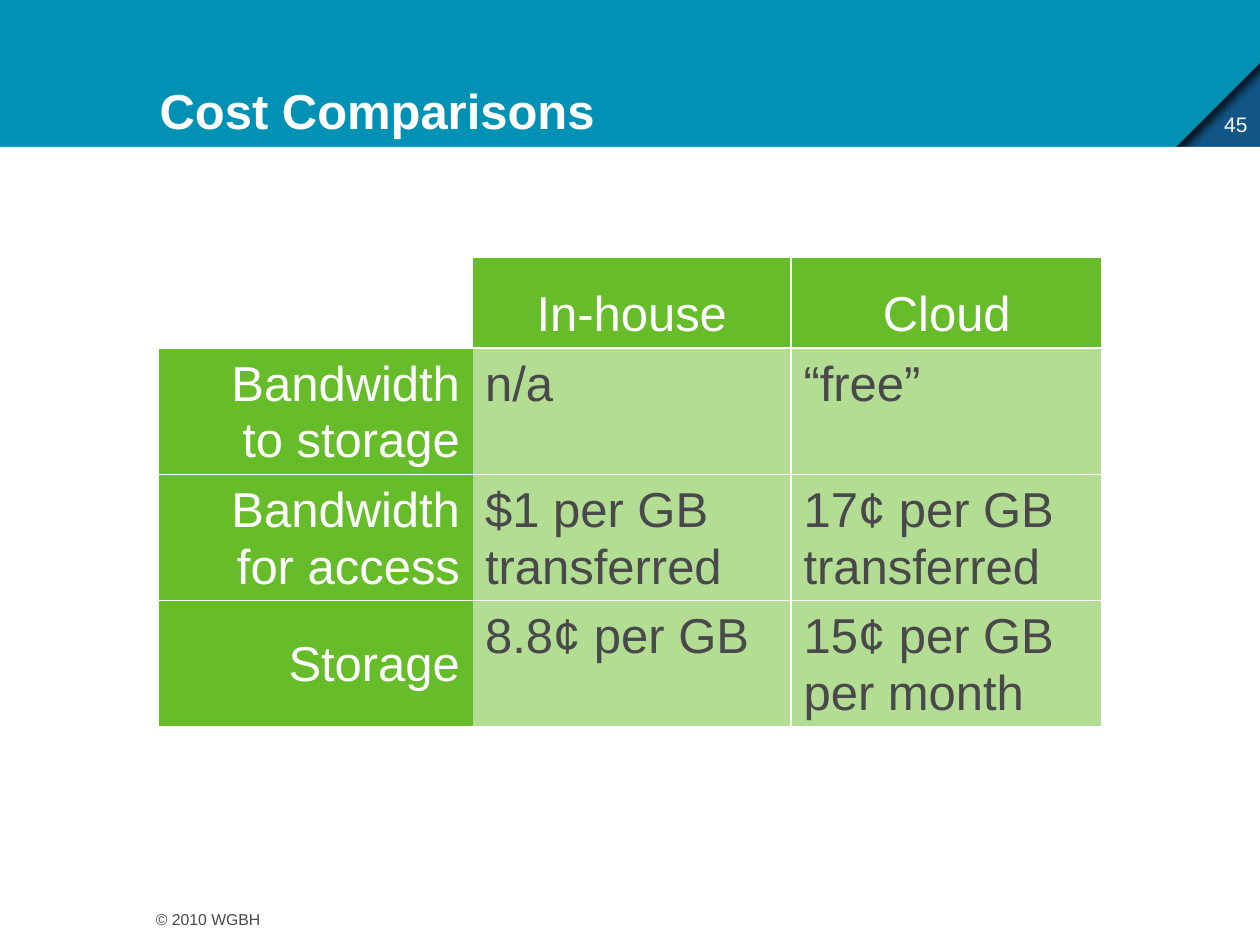
from dataclasses import dataclass

from lxml import etree
from pptx import Presentation, util as u
from pptx.dml.color import RGBColor
from pptx.enum import shapes, text
from pptx.oxml import ns

Pt = u.Pt
WHITE = RGBColor(0xFF, 0xFF, 0xFF)
TEAL = RGBColor(0x00, 0x91, 0xB5)
NAVY = RGBColor(0x12, 0x56, 0x87)
GREEN = RGBColor(0x66, 0xBC, 0x29)
GRAY = RGBColor(0x49, 0x48, 0x4A)
LEFT, CENTER, RIGHT = text.PP_ALIGN.LEFT, text.PP_ALIGN.CENTER, text.PP_ALIGN.RIGHT
TOP, MIDDLE, BOTTOM = (text.MSO_ANCHOR.TOP, text.MSO_ANCHOR.MIDDLE,
                       text.MSO_ANCHOR.BOTTOM)

WIDTH, HEIGHT = 720, 540
BAND_HEIGHT = 84
FOLD = 48


@dataclass
class CellStyle:
    color: RGBColor
    align: text.PP_ALIGN
    anchor: text.MSO_ANCHOR
    alpha: int = 100


COLUMN_HEAD = CellStyle(WHITE, CENTER, BOTTOM)
ROW_HEAD = CellStyle(WHITE, RIGHT, MIDDLE)
BODY = CellStyle(GRAY, LEFT, TOP, alpha=50)

COLUMN_WIDTHS = [180, 182, 178]
ROW_HEIGHTS = [52.5, 72, 72, 72, 53.5]
ROWS = [
    ["", "In-house", "Cloud"],
    ["Bandwidth\nto storage", "n/a", "“free”"],
    ["Bandwidth for access", "$1 per GB transferred", "17¢ per GB\ntransferred"],
    ["Storage", "8.8¢ per GB", "15¢ per GB\nper month"],
    ["", "", ""],
]


def add_xml(parent, tag: str, **attributes):
    return etree.SubElement(parent, ns.qn(tag),
                            {key: str(value) for key, value in attributes.items()})


def write_text(frame, content: str, *, size: float, color: RGBColor, align=LEFT,
               spacing: float = 1.0, bold: bool = False) -> None:
    for index, line in enumerate(content.split("\n")):
        paragraph = frame.add_paragraph() if index else frame.paragraphs[0]
        paragraph.alignment = align
        paragraph.line_spacing = spacing
        run = paragraph.add_run()
        run.text = line
        run.font.name = "Arial"
        run.font.size = Pt(size)
        run.font.bold = bold
        run.font.color.rgb = color


def place(shape, left: float, top: float, width: float, height: float) -> None:
    shape.left, shape.top = Pt(left), Pt(top)
    shape.width, shape.height = Pt(width), Pt(height)


def set_frame(frame, anchor) -> None:
    frame.word_wrap = True
    frame.auto_size = text.MSO_AUTO_SIZE.NONE
    frame.vertical_anchor = anchor


def paint(shape, color: RGBColor) -> None:
    shape.shadow.inherit = False
    shape.fill.solid()
    shape.fill.fore_color.rgb = color
    shape.line.fill.background()


def add_label(slide, content: str, box: tuple, **text_format) -> None:
    label = slide.shapes.add_textbox(*map(Pt, box))
    set_frame(label.text_frame, BOTTOM)
    write_text(label.text_frame, content, spacing=0.8, **text_format)


def add_background(slide) -> None:
    # Folded corner
    corner = slide.shapes.add_shape(
        shapes.MSO_SHAPE.RIGHT_TRIANGLE, Pt(WIDTH - FOLD), Pt(BAND_HEIGHT - FOLD),
        Pt(FOLD), Pt(FOLD))
    corner.rotation = 270
    paint(corner, NAVY)

    # Title band with a cut corner and a shadow over the fold
    builder = slide.shapes.build_freeform(0, 0, scale=Pt(1))
    builder.add_line_segments([(WIDTH, 0), (WIDTH, BAND_HEIGHT - FOLD),
                               (WIDTH - FOLD, BAND_HEIGHT), (0, BAND_HEIGHT)])
    band = builder.convert_to_shape()
    paint(band, TEAL)
    effects = band.element.spPr.find(ns.qn("a:effectLst"))
    shadow = add_xml(effects, "a:outerShdw", blurRad=Pt(5), dist=Pt(3),
                     dir=45 * 60000, algn="tl", rotWithShape=0)
    shadow_color = add_xml(shadow, "a:srgbClr", val="000000")
    add_xml(shadow_color, "a:alpha", val=75000)

    # Content area
    area = slide.shapes.add_shape(shapes.MSO_SHAPE.RECTANGLE, 0, Pt(BAND_HEIGHT),
                                  Pt(WIDTH), Pt(HEIGHT - BAND_HEIGHT))
    paint(area, WHITE)


def set_borders(cell, widths: dict) -> None:
    properties = cell._tc.get_or_add_tcPr()
    for index, (side, width) in enumerate(widths.items()):
        line = etree.Element(ns.qn(f"a:ln{side}"), w=str(Pt(width)))
        if width:
            fill = add_xml(line, "a:solidFill")
            add_xml(fill, "a:srgbClr", val=str(WHITE))
        else:
            add_xml(line, "a:noFill")
        properties.insert(index, line)


def cell_style(row: int, column: int) -> CellStyle:
    if row == 0:
        return COLUMN_HEAD
    return BODY if column else ROW_HEAD


def fill_cell(cell, content: str, style: CellStyle) -> None:
    if not content:
        cell.fill.background()
        return
    cell.fill.solid()
    cell.fill.fore_color.rgb = GREEN
    if style.alpha < 100:
        color = cell._tc.tcPr.find(".//" + ns.qn("a:srgbClr"))
        add_xml(color, "a:alpha", val=style.alpha * 1000)
    cell.vertical_anchor = style.anchor
    write_text(cell.text_frame, content, size=28, color=style.color,
               align=style.align, spacing=1.04)


def add_cost_table(slide) -> None:
    last_row, last_column = len(ROWS) - 1, len(COLUMN_WIDTHS) - 1
    table = slide.shapes.add_table(
        len(ROWS), len(COLUMN_WIDTHS), Pt(90), Pt(146.5),
        Pt(sum(COLUMN_WIDTHS)), Pt(sum(ROW_HEIGHTS))).table
    table.first_row = table.horz_banding = False
    for column, width in zip(table.columns, COLUMN_WIDTHS):
        column.width = Pt(width)
    for row, height in zip(table.rows, ROW_HEIGHTS):
        row.height = Pt(height)

    for row, contents in enumerate(ROWS):
        # No rule stands between a row heading and its first value
        heading_rule = 0 if 0 < row < last_row else 1
        for column, content in enumerate(contents):
            cell = table.cell(row, column)
            fill_cell(cell, content, cell_style(row, column))
            set_borders(cell, {
                "L": {0: 2.25, 1: heading_rule}.get(column, 1),
                "R": {0: heading_rule, last_column: 2.25}.get(column, 1),
                "T": 2.25 if row == 0 else 1,
                "B": 2.25 if row == last_row else 1,
            })


def main() -> None:
    presentation = Presentation()
    presentation.slide_width, presentation.slide_height = Pt(WIDTH), Pt(HEIGHT)
    slide = presentation.slides.add_slide(presentation.slide_layouts[5])
    add_background(slide)

    # Title, brought in front of the band
    title = slide.shapes.title
    title.element.getparent().append(title.element)
    place(title, 84, -6, 606, 90)
    set_frame(title.text_frame, BOTTOM)
    write_text(title.text_frame, "Cost Comparisons", size=28, color=WHITE,
               spacing=0.95, bold=True)

    # Page number and copyright
    add_label(slide, "45", (654, 60, 66, 21.6), size=12, color=WHITE, align=RIGHT)
    add_label(slide, "© 2010 WGBH", (82, 516, 228, 18), size=9, color=GRAY)

    add_cost_table(slide)
    presentation.save("out.pptx")


if __name__ == "__main__":
    main()
